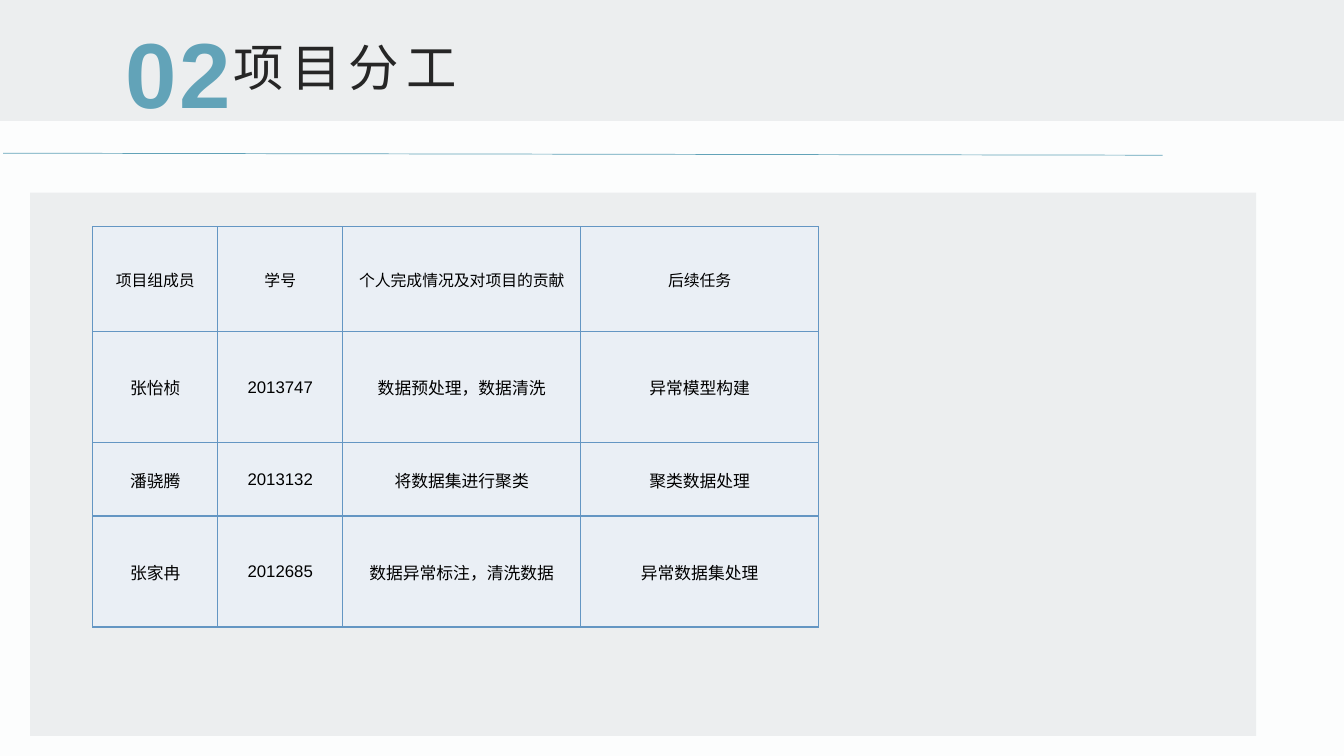
"""Build the project division-of-work slide with its member table."""
from lxml import etree
from pptx import Presentation
from pptx.dml.color import RGBColor
from pptx.enum.shapes import MSO_CONNECTOR, MSO_SHAPE
from pptx.enum.text import MSO_ANCHOR, PP_ALIGN
from pptx.oxml.ns import qn
from pptx.util import Inches, Pt

RECT = MSO_SHAPE.RECTANGLE
STRAIGHT = MSO_CONNECTOR.STRAIGHT
MIDDLE = MSO_ANCHOR.MIDDLE
LEFT, CENTER = PP_ALIGN.LEFT, PP_ALIGN.CENTER

PAPER = RGBColor(0xFC, 0xFD, 0xFD)
PANEL = RGBColor(0xEC, 0xEE, 0xEF)
TEAL = RGBColor(0x62, 0xA3, 0xB8)
INK = RGBColor(0x26, 0x26, 0x26)
BLACK = RGBColor(0, 0, 0)
CELL = RGBColor(0xEA, 0xEF, 0xF5)
BORDER = RGBColor(0x64, 0x96, 0xC3)
LATIN, CJK = "Arial", "Noto Sans CJK SC"

COLS = [1.24, 1.24, 2.36, 2.36]
ROWS = [1.04, 1.1, 0.73, 1.1]
MEMBERS = [
    ["项目组成员", "学号", "个人完成情况及对项目的贡献", "后续任务"],
    ["张怡桢", "2013747", "数据预处理，数据清洗", "异常模型构建"],
    ["潘骁腾", "2013132", "将数据集进行聚类", "聚类数据处理"],
    ["张家冉", "2012685", "数据异常标注，清洗数据", "异常数据集处理"],
]


def add_text(tf, text, size, color, font=LATIN, align=CENTER, spacing=0):
    p = tf.paragraphs[0]
    p.alignment = align
    r = p.add_run()
    r.text = text
    r.font.size = Pt(size)
    r.font.name = font
    r.font.color.rgb = color
    rPr = r.font._element
    if spacing:
        rPr.set("spc", str(spacing * 100))
    etree.SubElement(rPr, qn("a:ea"), typeface=CJK)
    return r


def add_borders(cell):
    tcPr = cell._tc.get_or_add_tcPr()
    for i, side in enumerate(["a:lnL", "a:lnR", "a:lnT", "a:lnB"]):
        ln = etree.Element(qn(side), w=str(Pt(1)))
        fill = etree.SubElement(ln, qn("a:solidFill"))
        etree.SubElement(fill, qn("a:srgbClr"), val=str(BORDER))
        tcPr.insert(i, ln)


prs = Presentation()
prs.slide_width, prs.slide_height = Inches(13.33), Inches(7.5)
s = prs.slides.add_slide(prs.slide_layouts[5])
s.background.fill.solid()
s.background.fill.fore_color.rgb = PAPER

for box in [(0.3, 1.91, 12.16, 5.39), (0, -0.01, 13.33, 1.21)]:
    sp = s.shapes.add_shape(RECT, *map(Inches, box))
    sp.shadow.inherit = False
    sp.fill.solid()
    sp.fill.fore_color.rgb = PANEL
    sp.line.fill.background()

number = s.shapes.add_textbox(Inches(0.92), Inches(0.13), Inches(1.69), Inches(1.16))
tf = number.text_frame
tf.word_wrap = True
tf.vertical_anchor = MIDDLE
add_text(tf, "02", 66, TEAL, spacing=2).font.bold = True

title = s.shapes.title
s.shapes.element.append(title.element)
title.left, title.top = Inches(2.32), Inches(0.2)
title.width, title.height = Inches(6.31), Inches(0.91)
tf = title.text_frame
tf.vertical_anchor = MIDDLE
tf.margin_left = tf.margin_right = tf.margin_top = tf.margin_bottom = 0
add_text(tf, "项目分工", 36, INK, CJK, LEFT, spacing=5)

rule = s.shapes.add_connector(STRAIGHT, Inches(0.03), Inches(1.52), Inches(11.53), Inches(1.54))
rule.line.color.rgb = TEAL
rule.line.width = Pt(0.5)
etree.SubElement(rule.element.spPr, qn("a:effectLst"))

table = s.shapes.add_table(len(ROWS), len(COLS), Inches(0.92), Inches(2.25),
                           Inches(sum(COLS)), Inches(sum(ROWS))).table
for column, width in zip(table.columns, COLS):
    column.width = Inches(width)
table.first_row = table.horz_banding = False
for i, (member, height) in enumerate(zip(MEMBERS, ROWS)):
    table.rows[i].height = Inches(height)
    for j, text in enumerate(member):
        cell = table.cell(i, j)
        cell.fill.solid()
        cell.fill.fore_color.rgb = CELL
        cell.vertical_anchor = MIDDLE
        cell.margin_left = cell.margin_right = cell.margin_top = Inches(0.01)
        cell.margin_bottom = 0
        add_text(cell.text_frame, text, 12 if i else 11.3, BLACK)
        add_borders(cell)

prs.save("out.pptx")
